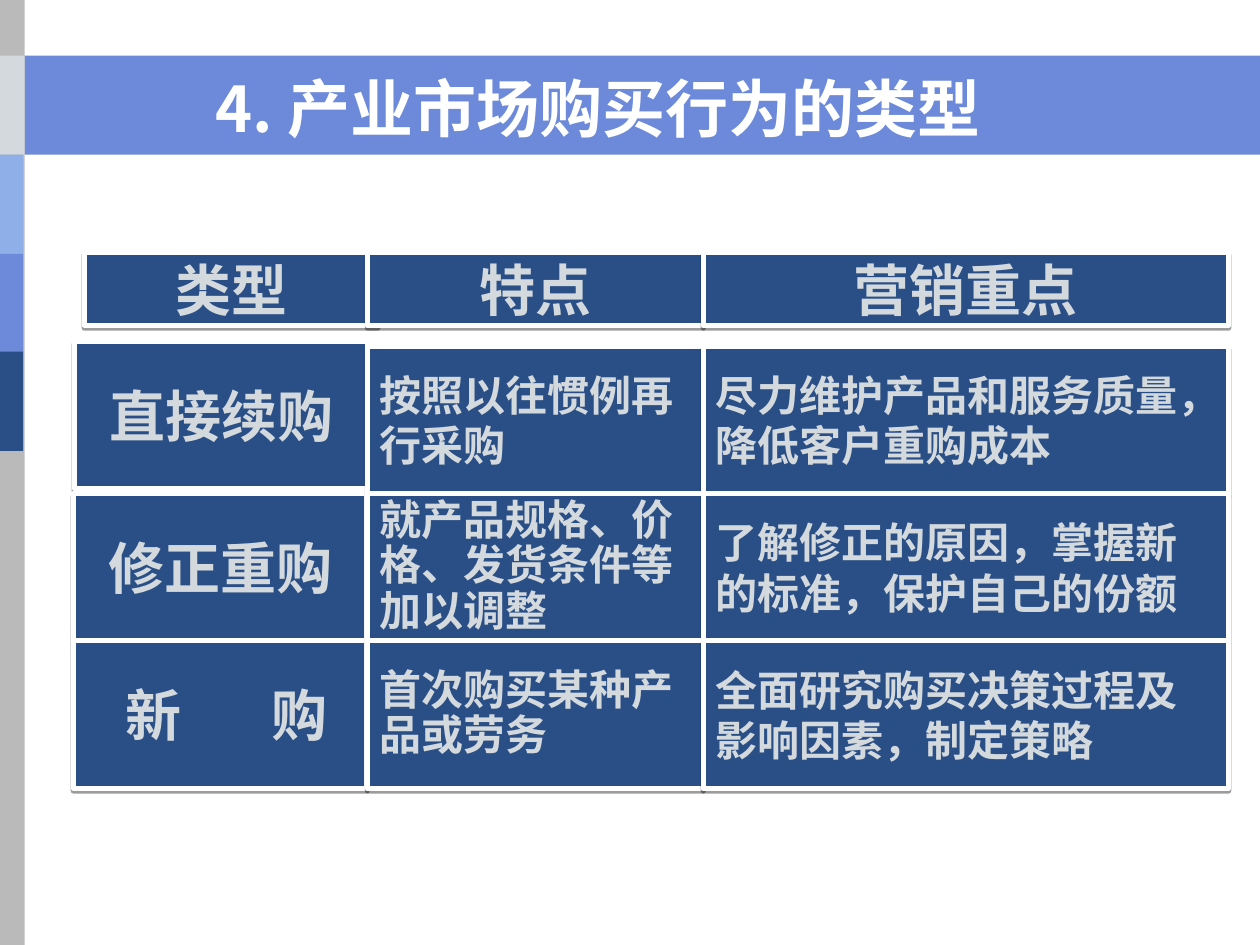
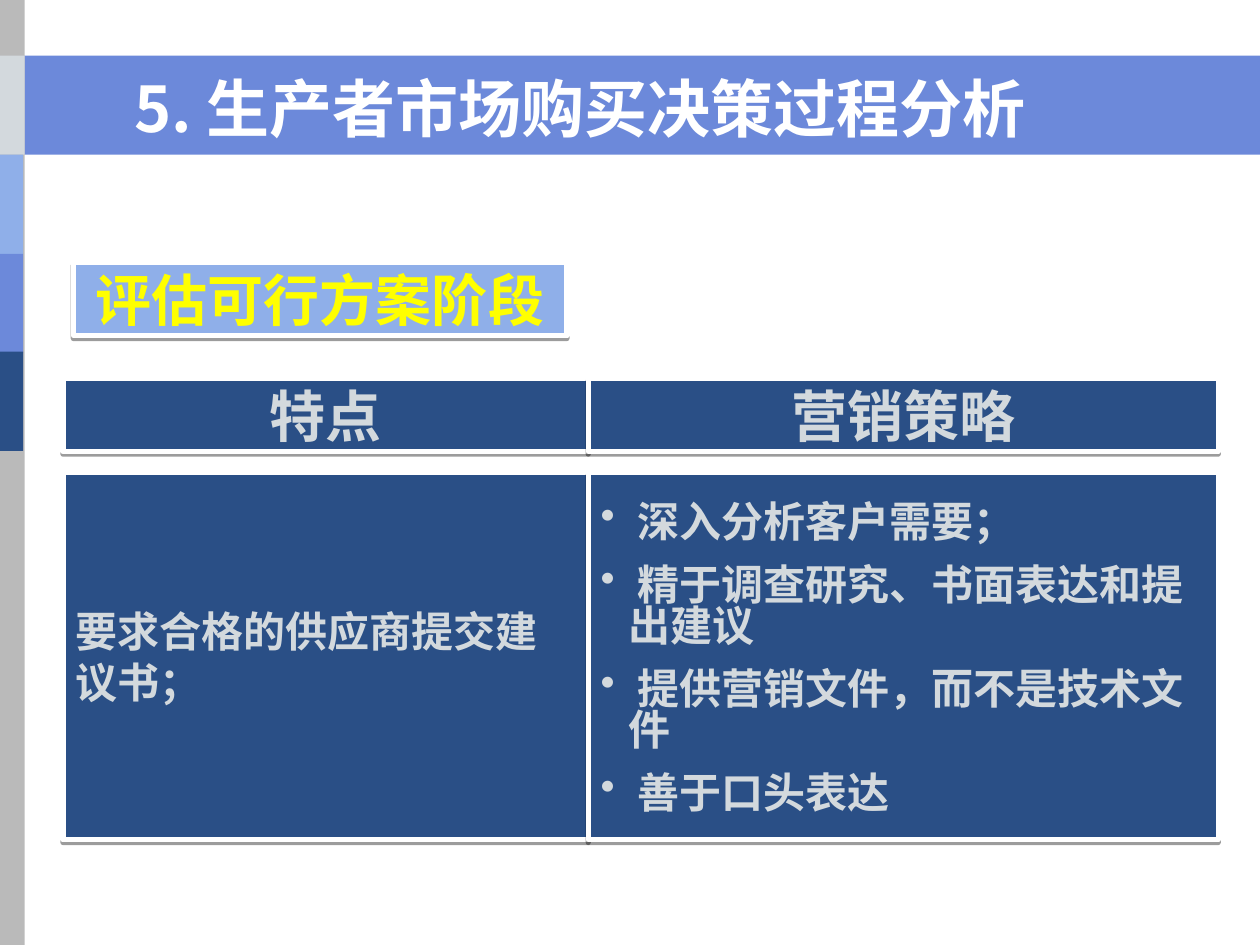
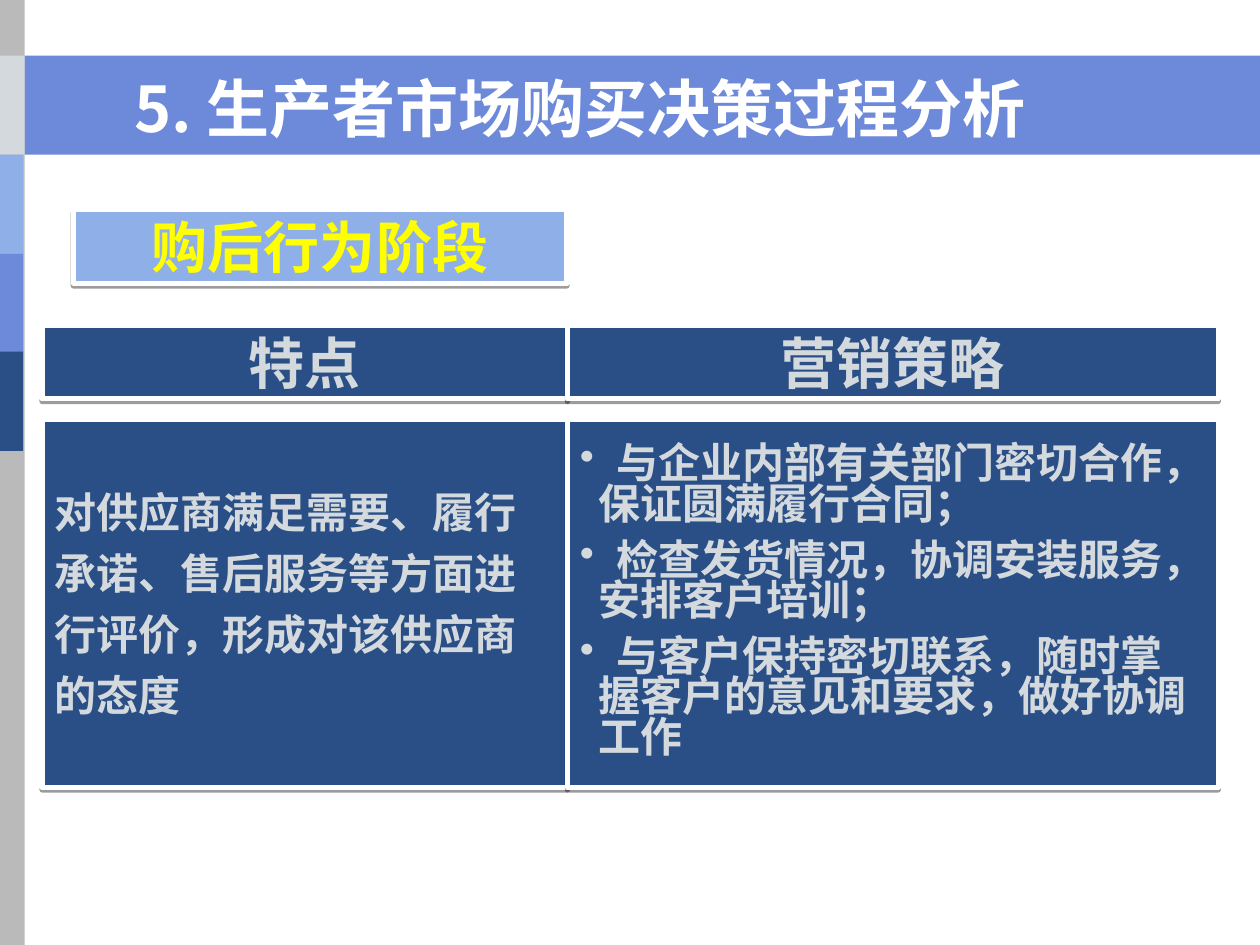
from dataclasses import dataclass

from lxml import etree
from pptx import Presentation
from pptx.dml.color import RGBColor
from pptx.enum.shapes import MSO_SHAPE
from pptx.enum.text import MSO_ANCHOR, MSO_AUTO_SIZE, PP_ALIGN
from pptx.oxml.ns import qn
from pptx.util import Cm, Pt

RECTANGLE = MSO_SHAPE.RECTANGLE
LEFT, CENTER = PP_ALIGN.LEFT, PP_ALIGN.CENTER
MIDDLE, BOTTOM = MSO_ANCHOR.MIDDLE, MSO_ANCHOR.BOTTOM
GROW = MSO_AUTO_SIZE.SHAPE_TO_FIT_TEXT
TITLE_ONLY = 5


@dataclass(frozen=True)
class Theme:
    """Colours, fonts and type sizes of the whole deck."""
    navy: str = "2A4F86"
    blue: str = "6C89DA"
    sky: str = "8FAFE9"
    mist: str = "D3D9DD"
    grey: str = "BABABA"
    white: str = "FFFFFF"
    yellow: str = "FFFF00"
    black: str = "000000"
    latin_font: str = "Times New Roman"
    asian_font: str = "Noto Sans CJK SC"
    title_size: int = 36
    heading_size: int = 32
    body_size: int = 24
    border: int = 3


@dataclass(frozen=True)
class Line:
    """One paragraph of a cell, with its spacing and indent."""
    text: str
    spacing: float = 1.0
    before: float = 0
    bullet: bool = False
    indent: float = 0


THEME = Theme()
BULLET_INDENT = 0.74
HEADING_HEIGHT = 1.48


def rgb(color):
    """Turn a hex string into a colour."""
    return RGBColor.from_string(color)


def add_rectangle(slide, box, color):
    """Add a plain rectangle without line or shadow; box is in cm."""
    shape = slide.shapes.add_shape(RECTANGLE, *map(Cm, box))
    shape.shadow.inherit = False
    shape.fill.solid()
    shape.fill.fore_color.rgb = rgb(color)
    shape.line.fill.background()
    return shape


def add_shadow(shape):
    """Give a shape a thin hard shadow straight below it."""
    effects = shape.element.spPr.find(qn("a:effectLst"))
    shadow = etree.SubElement(effects, qn("a:outerShdw"), blurRad="0",
                              dist=str(Pt(1.6)), dir="5400000", rotWithShape="0")
    color = etree.SubElement(shadow, qn("a:srgbClr"), val=THEME.black)
    etree.SubElement(color, qn("a:alpha"), val="38000")


def set_font(paragraph, name, size, color):
    """Set the bold font of a paragraph for Latin and Chinese text."""
    font = paragraph.font
    font.name, font.size, font.bold = name, Pt(size), True
    font.color.rgb = rgb(color)
    defaults = paragraph._p.get_or_add_pPr().find(qn("a:defRPr"))
    etree.SubElement(defaults, qn("a:ea"), typeface=THEME.asian_font)


def set_indent(paragraph, line):
    """Indent a paragraph and add its bullet when it has one."""
    properties = paragraph._p.get_or_add_pPr()
    if line.bullet:
        properties.set("marL", str(Cm(BULLET_INDENT)))
        properties.set("indent", str(-Cm(BULLET_INDENT)))
        color = etree.SubElement(properties, qn("a:buClr"))
        etree.SubElement(color, qn("a:srgbClr"), val=THEME.mist)
        etree.SubElement(properties, qn("a:buChar"), char="•")
    elif line.indent:
        properties.set("marL", str(Cm(line.indent)))
        properties.set("indent", "0")


def add_cell(slide, box, lines, size=THEME.body_size, align=LEFT,
             fill=THEME.navy, color=THEME.mist):
    """Add a bordered, shadowed cell holding the given lines."""
    cell = add_rectangle(slide, box, fill)
    cell.line.color.rgb = rgb(THEME.white)
    cell.line.width = Pt(THEME.border)
    add_shadow(cell)
    frame = cell.text_frame
    frame.word_wrap = False
    frame.vertical_anchor = MIDDLE
    for index, line in enumerate(lines):
        paragraph = frame.add_paragraph() if index else frame.paragraphs[0]
        paragraph.add_run().text = line.text
        paragraph.alignment = align
        set_indent(paragraph, line)
        paragraph.line_spacing = line.spacing
        paragraph.space_before = Pt(line.before)
        set_font(paragraph, THEME.latin_font, size, color)
    return cell


def add_heading(slide, box, text, **colors):
    """Add a cell with one large centred line."""
    return add_cell(slide, box, [Line(text)], THEME.heading_size, CENTER, **colors)


def add_spread_heading(slide, box, first, second):
    """Add a heading whose two characters stand far apart."""
    cell = add_cell(slide, box, [Line(first, indent=0.25)], THEME.heading_size, CENTER)
    paragraph = cell.text_frame.paragraphs[0]
    paragraph.runs[0]._r.get_or_add_rPr().set("spc", "5100")
    paragraph.add_run().text = second


def add_bands(slide, layout):
    """Build the title band and side strip and place them in the layout."""
    bands = [
        ((0, 1.12, 25.4, 2), THEME.blue),
        ((-0.03, 0, 0.53, 19.05), THEME.grey),
        ((0, 1.12, 0.5, 2), THEME.mist),
        ((-0.05, 3.12, 0.52, 2), THEME.sky),
        ((-0.05, 5.12, 0.52, 2), THEME.blue),
        ((-0.05, 7.09, 0.52, 2), THEME.navy),
    ]
    for position, (box, color) in enumerate(bands, start=2):
        band = add_rectangle(slide, box, color)
        layout.shapes.element.insert(position, band.element)


def add_title(slide, text, left, width, align):
    """Fill the title placeholder over the title band."""
    title = slide.shapes.title
    title.left, title.top, title.width, title.height = map(Cm, (left, 1.27, width, 1.78))
    frame = title.text_frame
    frame.text = text
    frame.word_wrap = True
    frame.auto_size = GROW
    frame.vertical_anchor = BOTTOM
    paragraph = frame.paragraphs[0]
    paragraph.alignment = align
    set_font(paragraph, THEME.asian_font, THEME.title_size, THEME.white)


def add_type_grid(slide, left, top):
    """Add the grid of purchase types, features and marketing focus."""
    label_width, feature_width, focus_width = 5.92, 6.77, 10.59
    feature_left = left + label_width + 0.01
    focus_left = feature_left + feature_width
    row_height, first_row = 2.97, top + 1.9

    add_heading(slide, (left + 0.22, top, label_width, HEADING_HEIGHT), "类型")
    add_heading(slide, (feature_left, top, feature_width, HEADING_HEIGHT), "特点")
    add_heading(slide, (focus_left, top, focus_width, HEADING_HEIGHT), "营销重点")

    add_heading(slide, (left + 0.02, first_row - 0.1, label_width, row_height), "直接续购")
    add_heading(slide, (left, first_row + row_height, label_width, row_height), "修正重购")
    add_spread_heading(slide, (left, first_row + 2 * row_height, label_width, row_height),
                       "新", "购")

    rows = [
        (1.0, ["按照以往惯例再", "行采购"],
         ["尽力维护产品和服务质量，", "降低客户重购成本"]),
        (0.9, ["就产品规格、价", "格、发货条件等", "加以调整"],
         ["了解修正的原因，掌握新", "的标准，保护自己的份额"]),
        (0.9, ["首次购买某种产", "品或劳务"],
         ["全面研究购买决策过程及", "影响因素，制定策略"]),
    ]
    for index, (spacing, feature, focus) in enumerate(rows):
        row_top = first_row + index * row_height
        add_cell(slide, (feature_left, row_top, feature_width, row_height),
                 [Line(text, spacing) for text in feature])
        add_cell(slide, (focus_left, row_top, focus_width, row_height),
                 [Line(text) for text in focus])


def add_stage(slide, top, stage, left, strategy_width, features, strategies):
    """Add a stage label above its feature and strategy columns."""
    feature_width, body_height = 10.59, 7.41
    header_top = top + 2.33
    body_top = header_top + 1.9
    add_heading(slide, (1.48, top, 9.95, HEADING_HEIGHT), stage,
                fill=THEME.sky, color=THEME.yellow)
    columns = [
        (left, feature_width, "特点", features),
        (left + feature_width, strategy_width, "营销策略", strategies),
    ]
    for column_left, width, heading, lines in columns:
        add_heading(slide, (column_left, header_top, width, HEADING_HEIGHT), heading)
        add_cell(slide, (column_left, body_top, width, body_height), lines)


def build_types_slide(slide):
    """Build the slide on types of purchase behaviour."""
    add_title(slide, "4. 产业市场购买行为的类型", 0.2, 23.7, CENTER)
    add_type_grid(slide, 1.48, 5.08)


def build_stage_slide(slide, *stage):
    """Build a slide on one stage of the purchase decision."""
    add_title(slide, "5. 生产者市场购买决策过程分析", 2.46, 20.83, LEFT)
    add_stage(slide, *stage)


def main():
    """Build the three slides and save them."""
    presentation = Presentation()
    presentation.slide_width, presentation.slide_height = Cm(25.4), Cm(19.05)
    layout = presentation.slide_layouts[TITLE_ONLY]
    types, evaluation, review = [presentation.slides.add_slide(layout) for _ in range(3)]
    add_bands(types, layout)

    build_types_slide(types)
    build_stage_slide(
        evaluation, 5.29, "评估可行方案阶段", 1.27, 12.7,
        [Line("要求合格的供应商提交建"), Line("议书；")],
        [
            Line("深入分析客户需要；", bullet=True),
            Line("精于调查研究、书面表达和提", before=7.5, bullet=True),
            Line("出建议", 0.8, indent=0.57),
            Line("提供营销文件，而不是技术文", before=7.5, bullet=True),
            Line("件", 0.8, indent=0.57),
            Line("善于口头表达", before=7.5, bullet=True),
        ])
    build_stage_slide(
        review, 4.23, "购后行为阶段", 0.85, 13.12,
        [
            Line("对供应商满足需要、履行"),
            Line("承诺、售后服务等方面进", before=6),
            Line("行评价，形成对该供应商", before=6),
            Line("的态度", before=6),
        ],
        [
            Line("与企业内部有关部门密切合作，", 0.8, bullet=True),
            Line("保证圆满履行合同；", 0.8, indent=0.38),
            Line("检查发货情况，协调安装服务，", 0.8, 9, bullet=True),
            Line("安排客户培训；", 0.8, indent=0.38),
            Line("与客户保持密切联系，随时掌", 0.8, 9, bullet=True),
            Line("握客户的意见和要求，做好协调", 0.8, indent=0.38),
            Line("工作", 0.8, indent=0.38),
        ])
    presentation.save("out.pptx")


if __name__ == "__main__":
    main()
